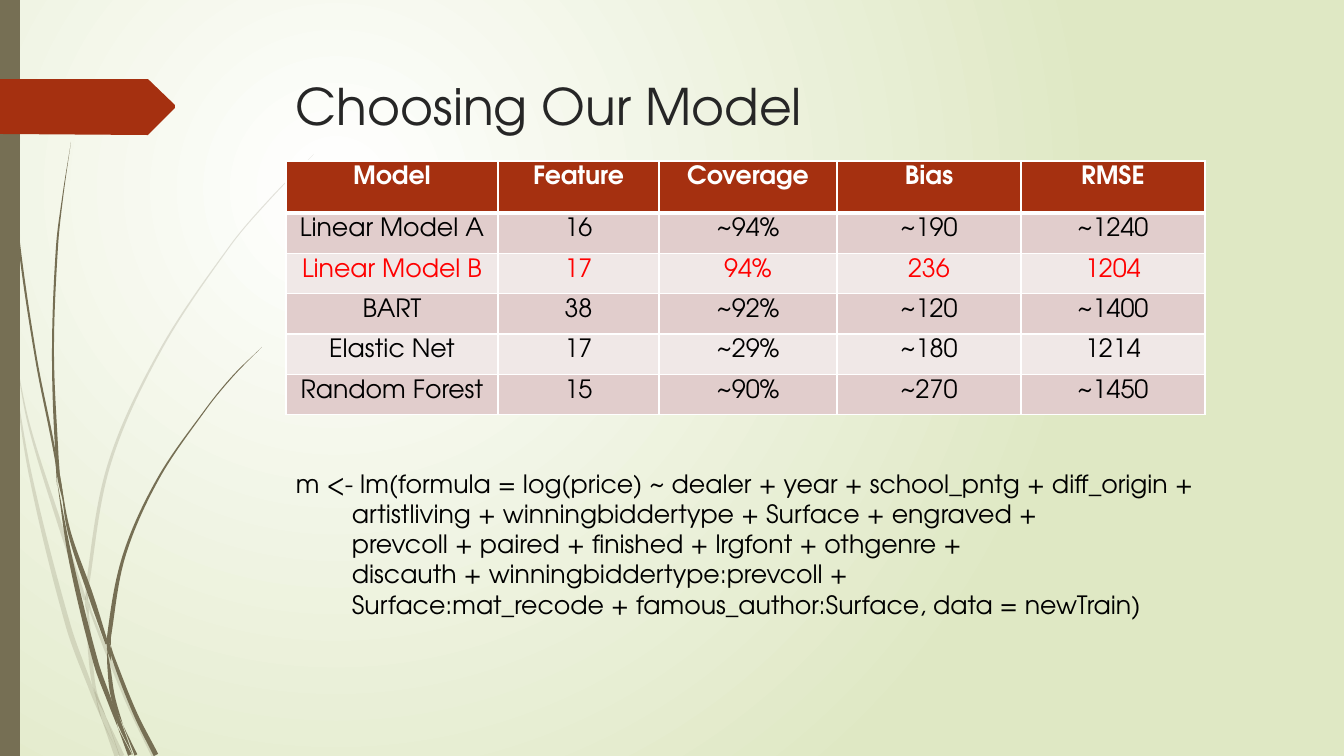
from dataclasses import dataclass
from math import dist

from lxml import etree
from pptx import Presentation
from pptx.dml.color import RGBColor
from pptx.enum.shapes import MSO_SHAPE
from pptx.enum.text import MSO_ANCHOR, PP_ALIGN
from pptx.oxml.ns import qn
from pptx.util import Pt

RECTANGLE = MSO_SHAPE.RECTANGLE
TOP, MIDDLE = MSO_ANCHOR.TOP, MSO_ANCHOR.MIDDLE
LEFT, CENTER = PP_ALIGN.LEFT, PP_ALIGN.CENTER
EMU_PER_PIXEL = 914400 / 100.8


@dataclass(frozen=True)
class Theme:
    """Colours, font and type sizes of the slide."""
    font: str = "TeX Gyre Adventor"
    title_size: int = 36
    text_size: int = 18
    title: str = "262626"
    text: str = "000000"
    highlight: str = "FF0000"
    white: str = "FFFFFF"
    backdrop: str = "DFE8C4"
    olive: str = "766F54"
    rust: str = "A53010"
    bands: tuple = ("E1CDCC", "F0E8E7")


THEME = Theme()
MODELS = [
    ("Model", "Feature", "Coverage", "Bias", "RMSE"),
    ("Linear Model A", "16", "~94%", "~190", "~1240"),
    ("Linear Model B", "17", "94%", "236", "1204"),
    ("BART", "38", "~92%", "~120", "~1400"),
    ("Elastic Net", "17", "~29%", "~180", "1214"),
    ("Random Forest", "15", "~90%", "~270", "~1450"),
]
CHOSEN_ROW = 2
COLUMN_WIDTHS = (212, 161, 178, 184, 184)
HEADER_HEIGHT, BODY_HEIGHT = 52, 198
FORMULA = [
    "m <- lm(formula = log(price) ~ dealer + year + school_pntg + diff_origin +",
    "artistliving + winningbiddertype + Surface + engraved +",
    "prevcoll + paired + finished + lrgfont + othgenre +",
    "discauth + winningbiddertype:prevcoll +",
    "Surface:mat_recode + famous_author:Surface, data = newTrain)",
]
TAG_OUTLINE = [(0, 79), (148, 79), (175, 105), (175, 108), (148, 135), (0, 134)]
FAINT_BLADES = [
    [(1, 293, 3), (6, 324, 2), (11, 353, 0)],
    [(14, 348, 0), (29, 425, 2), (60, 525, 4), (85, 600, 3)],
    [(89, 601, 0), (91, 612, 2), (126, 698, 4), (154, 756, 5)],
    [(106, 717, 0), (122, 756, 5)],
    [(11, 353, 0), (30, 473, 3), (68, 625, 5), (93, 694, 4), (102, 720, 0)],
    [(85, 604, 0), (88, 616, 2), (90, 651, 4), (95, 690, 3), (106, 717, 0)],
    [(314, 154, 0), (270, 199, 1), (230, 246, 1), (160, 351, 2), (109, 465, 3),
     (87, 589, 3), (88, 601, 0)],
    [(102, 720, 0), (117, 756, 5)],
    [(86, 591, 0), (87, 603, 4), (89, 615, 0)],
    [(94, 688, 0), (103, 716, 5), (120, 756, 0)],
]
DARK_BLADES = [
    [(4, 0, 1), (6, 48, 1), (8, 110, 1), (18, 234, 2), (36, 358, 2), (56, 460, 2), (57, 485, 0)],
    [(60, 476, 0), (69, 531, 3), (91, 596, 5), (107, 644, 3)],
    [(111, 646, 0), (113, 657, 3), (135, 713, 4), (156, 755, 5)],
    [(57, 481, 0), (71, 561, 4), (96, 663, 5), (111, 705, 4), (118, 728, 0)],
    [(71, 142, 0), (63, 195, 1), (57, 247, 2), (53, 352, 2), (57, 455, 3), (60, 476, 0)],
    [(123, 725, 0), (136, 755, 3)],
    [(55, 453, 0), (59, 478, 3), (65, 509, 0)],
    [(262, 347, 0), (233, 376, 1), (206, 409, 1), (158, 479, 2), (124, 556, 3),
     (109, 637, 4), (111, 646, 0)],
    [(118, 728, 0), (130, 755, 4)],
    [(107, 650, 0), (109, 668, 3), (113, 697, 4), (123, 725, 0)],
    [(107, 636, 0), (109, 649, 4), (111, 661, 0)],
    [(111, 697, 0), (119, 722, 4), (133, 755, 0)],
]


def px(length):
    """Turn picture pixels into EMU."""
    return round(length * EMU_PER_PIXEL)


def rgb(code):
    """Turn a hex code into a colour."""
    return RGBColor.from_string(code)


def add_span(para, text, color, size=THEME.text_size, bold=False):
    """Add one styled run to a paragraph."""
    span = para.add_run()
    span.text = text
    span.font.name, span.font.size, span.font.bold = THEME.font, Pt(size), bold
    span.font.color.rgb = rgb(color)


def add_text(page, frame, lines, color, size, anchor=TOP, hanging=0):
    """Add a text box whose later lines hang to the right of the first."""
    box = page.shapes.add_textbox(*map(px, frame)).text_frame
    box.word_wrap, box.vertical_anchor = True, anchor
    for index, line in enumerate(lines):
        para = box.add_paragraph() if index else box.paragraphs[0]
        para.alignment = LEFT
        if index and hanging:
            para._p.get_or_add_pPr().set("marL", str(px(hanging)))
        add_span(para, line, color, size)


def paint(shape, color, opacity=100):
    """Give a shape a plain fill with no outline or shadow."""
    shape.shadow.inherit = False
    shape.line.fill.background()
    shape.fill.solid()
    shape.fill.fore_color.rgb = rgb(color)
    if opacity < 100:
        swatch = shape.element.spPr.find(qn("a:solidFill"))[0]
        etree.SubElement(swatch, qn("a:alpha")).set("val", str(opacity * 1000))


def add_outline(shapes, points, color, opacity=100):
    """Add a filled closed outline."""
    corners = [(px(x), px(y)) for x, y in points]
    builder = shapes.build_freeform(*corners[0], scale=1.0)
    builder.add_line_segments(corners[1:], close=True)
    outline = builder.convert_to_shape()
    paint(outline, color, opacity)
    return outline


def directions(side):
    """Return the unit direction of a side at each of its points."""
    pairs = zip([side[0], *side[:-1]], [*side[1:], side[-1]])
    return [((b[0] - a[0]) / dist(a[:2], b[:2]), (b[1] - a[1]) / dist(a[:2], b[:2]))
            for a, b in pairs]


def add_blade(shapes, stations, opacity):
    """Add a curved grass blade from (x, y, width) stations."""
    edges = [[(x - sign * dy * width / 2, y + sign * dx * width / 2)
              for (x, y, width), (dx, dy) in zip(stations, directions(stations))]
             for sign in (1, -1)]
    sides = [edges[0], edges[1][::-1]]
    points = sides[0] + sides[1]
    headings = directions(sides[0]) + directions(sides[1])
    blade = add_outline(shapes, points, THEME.olive, opacity)
    origin = [min(values) for values in zip(*points)]
    lines = list(blade.element.iter(qn("a:lnTo")))[:len(points) - 1]
    for index, line in enumerate(lines):
        if index == len(stations) - 1:
            continue
        line.tag = qn("a:cubicBezTo")
        reach = dist(points[index], points[index + 1]) / 3
        for place, knot, pull in ((0, index, reach), (1, index + 1, -reach)):
            x, y = (px(value + pull * heading - start) for value, heading, start
                    in zip(points[knot], headings[knot], origin))
            line.insert(place, etree.Element(qn("a:pt"), {"x": str(x), "y": str(y)}))


def set_background(page):
    """Fill the page with a round gradient."""
    fill = page.background.fill
    fill.gradient()
    for stop, color in zip(fill.gradient_stops, (THEME.white, THEME.backdrop)):
        stop.color.rgb = rgb(color)
    gradient = next(page.element.iter(qn("a:gradFill")))
    gradient.remove(gradient.find(qn("a:lin")))
    circle = etree.SubElement(gradient, qn("a:path"), {"path": "circle"})
    etree.SubElement(circle, qn("a:fillToRect"),
                     {"l": "50000", "t": "50000", "r": "100000", "b": "100000"})


def style_cell(cell, color, bottom):
    """Give a table cell white borders and a fill."""
    properties = cell._tc.get_or_add_tcPr()
    for side, points in (("L", 1), ("R", 1), ("T", 1), ("B", bottom)):
        border = etree.SubElement(properties, qn(f"a:ln{side}"), {"w": str(Pt(points))})
        fill = etree.SubElement(border, qn("a:solidFill"))
        etree.SubElement(fill, qn("a:srgbClr"), {"val": THEME.white})
    cell.fill.solid()
    cell.fill.fore_color.rgb = rgb(color)


def add_model_table(page, left, top):
    """Add the model comparison table."""
    table = page.shapes.add_table(
        len(MODELS), len(COLUMN_WIDTHS), px(left), px(top),
        px(sum(COLUMN_WIDTHS)), px(HEADER_HEIGHT + BODY_HEIGHT)).table
    for column, width in zip(table.columns, COLUMN_WIDTHS):
        column.width = px(width)
    for index, values in enumerate(MODELS):
        header = index == 0
        table.rows[index].height = px(HEADER_HEIGHT if header else BODY_HEIGHT / (len(MODELS) - 1))
        fill = THEME.rust if header else THEME.bands[(index - 1) % 2]
        ink = {0: THEME.white, CHOSEN_ROW: THEME.highlight}.get(index, THEME.text)
        for cell, value in zip(table.rows[index].cells, values):
            style_cell(cell, fill, bottom=3 if header else 1)
            para = cell.text_frame.paragraphs[0]
            para.alignment = CENTER
            add_span(para, value, ink, bold=header)


def main():
    """Build and save the slide."""
    deck = Presentation()
    deck.slide_width, deck.slide_height = px(1344), px(756)
    page = deck.slides.add_slide(deck.slide_layouts[6])
    set_background(page)
    for blades, opacity in ((FAINT_BLADES, 20), (DARK_BLADES, 100)):
        tuft = page.shapes.add_group_shape()
        for stations in blades:
            add_blade(tuft.shapes, stations, opacity)
    paint(page.shapes.add_shape(RECTANGLE, 0, 0, px(20), px(756)), THEME.olive)
    add_outline(page.shapes, TAG_OUTLINE, THEME.rust)
    add_text(page, (286, 68, 983, 75), ["Choosing Our Model"],
             THEME.title, THEME.title_size, anchor=MIDDLE)
    add_model_table(page, 286, 161)
    add_text(page, (286, 463, 920, 163), FORMULA, THEME.text, THEME.text_size, hanging=56)
    deck.save("out.pptx")


main()
